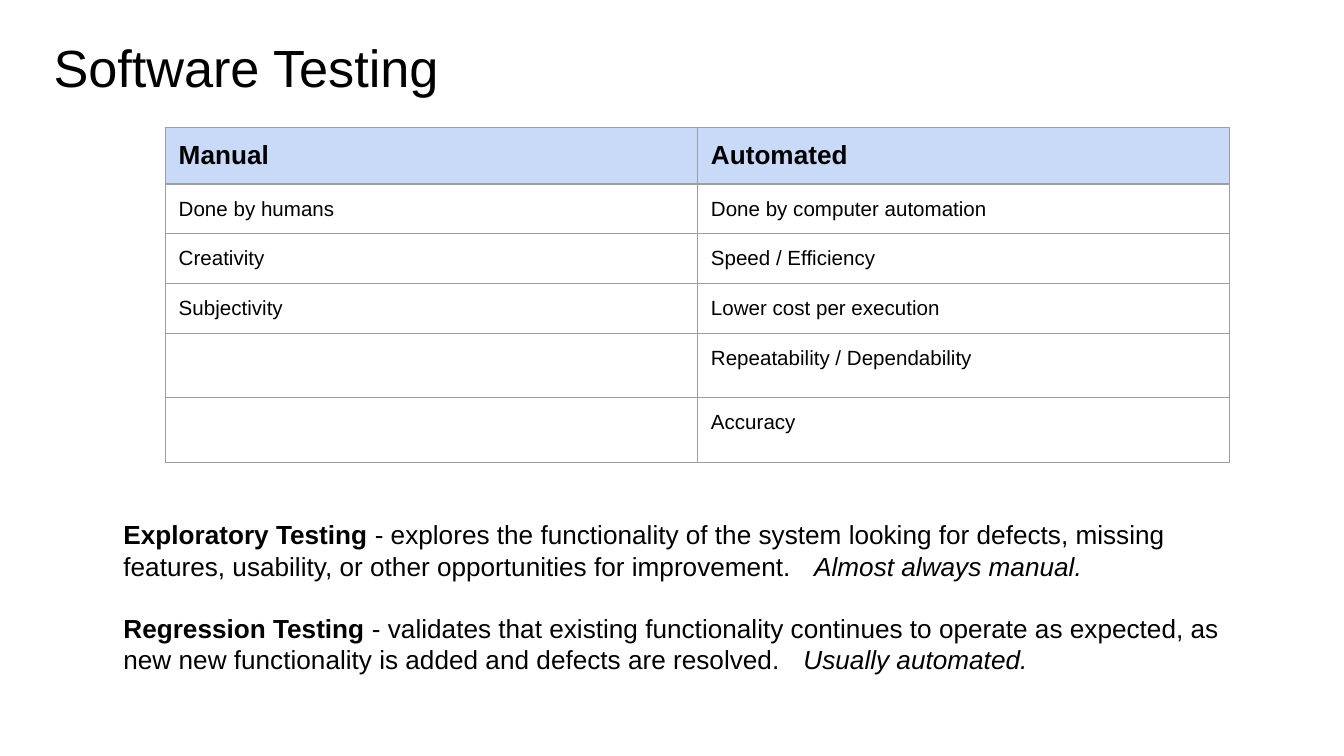
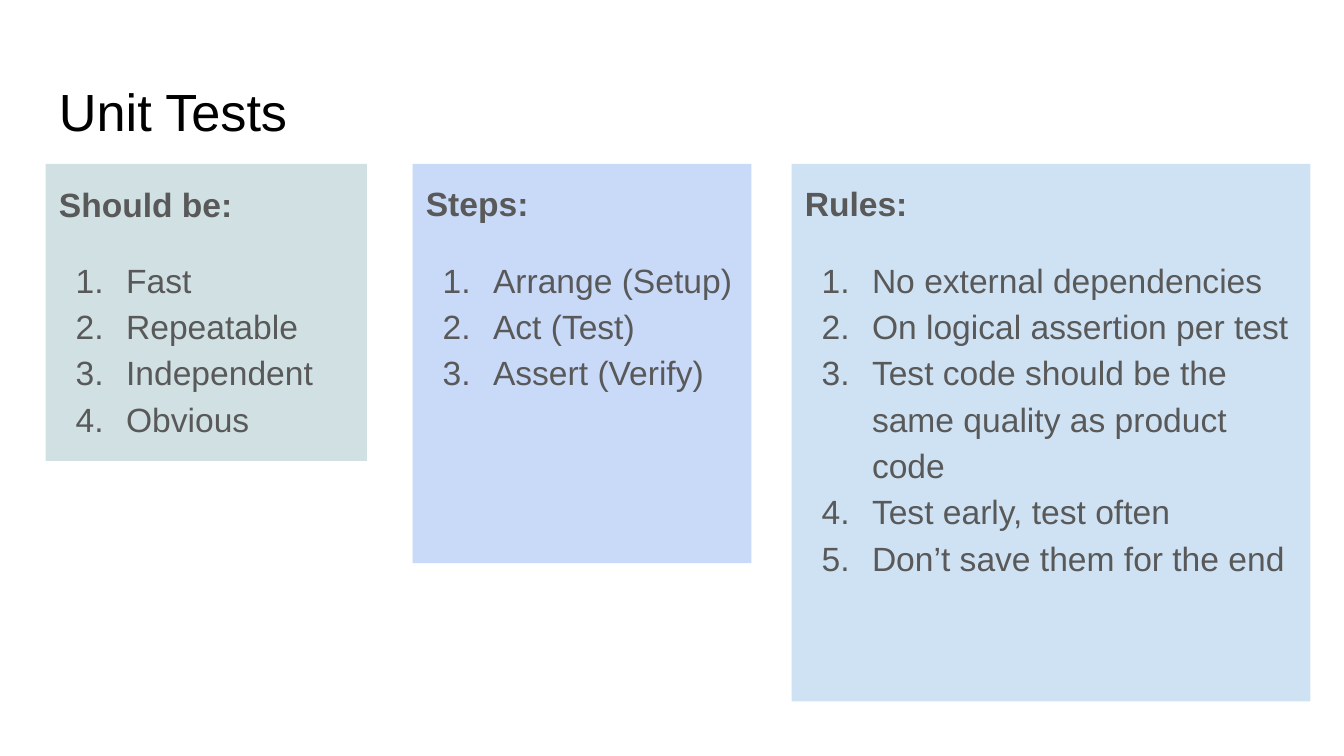
import pptx
import pptx.util
import pptx.dml.color
import pptx.enum.shapes
import pptx.enum.text
import pptx.oxml.ns
import lxml.etree

Inches = pptx.util.Inches

FONT = "Arial"
BLACK = "000000"
GREY = "595959"
HEADER_BLUE = "C9DAF8"
BORDER = "9E9E9E"
INSET = 0.1
CELL_BOTTOM = 0.08
SLIDE_WIDTH = 10


def color(value):
    return pptx.dml.color.RGBColor.from_string(value)


def add_element(parent, tag, **attributes):
    element = lxml.etree.SubElement(parent, pptx.oxml.ns.qn(tag))
    for name, value in attributes.items():
        element.set(name, str(value))
    return element


def write_paragraph(paragraph, *runs, size=14, fill=BLACK, spacing=1.0,
                    before=0, numbered=False, tab=None):
    """Each run is (text, style), where style may hold 'b' and 'i'."""
    properties = paragraph._p.get_or_add_pPr()
    if numbered:
        properties.set("marL", str(Inches(1 / 2)))
        properties.set("indent", str(-Inches(3 / 8)))
        bullet_color = add_element(properties, "a:buClr")
        add_element(bullet_color, "a:srgbClr", val=fill)
        add_element(properties, "a:buFont", typeface=FONT)
        add_element(properties, "a:buAutoNum", type="arabicPeriod")
    if tab:
        tabs = add_element(properties, "a:tabLst")
        add_element(tabs, "a:tab", pos=Inches(tab), algn="l")
    paragraph.alignment = pptx.enum.text.PP_ALIGN.LEFT
    paragraph.line_spacing = spacing
    if before:
        paragraph.space_before = pptx.util.Pt(before)
    for text, style in runs:
        run = paragraph.add_run()
        run.text = text
        run.font.name = FONT
        run.font.size = pptx.util.Pt(size)
        run.font.color.rgb = color(fill)
        run.font.bold = "b" in style
        run.font.italic = "i" in style


def prepare_frame(frame):
    frame.word_wrap = True
    frame.vertical_anchor = pptx.enum.text.MSO_ANCHOR.TOP
    frame.margin_left = frame.margin_right = Inches(INSET)
    frame.margin_top = frame.margin_bottom = Inches(INSET)
    return frame


def add_text_box(slide, box):
    shape = slide.shapes.add_textbox(*map(Inches, box))
    return prepare_frame(shape.text_frame)


def add_title(slide, text, left, top):
    frame = add_text_box(slide, (left, top, 9.32, 0.63))
    write_paragraph(frame.paragraphs[0], (text, ""), size=28)


def set_borders(cell):
    properties = cell._tc.get_or_add_tcPr()
    for index, tag in enumerate(("a:lnL", "a:lnR", "a:lnT", "a:lnB")):
        line = add_element(properties, tag, w=pptx.util.Pt(0.75))
        fill = add_element(line, "a:solidFill")
        add_element(fill, "a:srgbClr", val=BORDER)
        properties.insert(index, line)


def add_comparison_table(slide, left, top, width, rows, heights):
    columns = len(rows[0])
    table = slide.shapes.add_table(
        len(rows), columns, Inches(left), Inches(top),
        Inches(width), Inches(sum(heights))).table
    table.first_row = table.horz_banding = False
    for column in table.columns:
        column.width = Inches(width / columns)
    for row_index, (texts, height) in enumerate(zip(rows, heights)):
        table.rows[row_index].height = Inches(height)
        is_header = row_index == 0
        for column_index, text in enumerate(texts):
            cell = table.cell(row_index, column_index)
            cell.margin_left = cell.margin_right = Inches(INSET)
            cell.margin_top = Inches(INSET)
            cell.margin_bottom = Inches(CELL_BOTTOM)
            if is_header:
                cell.fill.solid()
                cell.fill.fore_color.rgb = color(HEADER_BLUE)
            else:
                cell.fill.background()
            set_borders(cell)
            if text:
                write_paragraph(cell.text_frame.paragraphs[0],
                                (text, "b" if is_header else ""),
                                size=14 if is_header else 11)


def add_definitions(slide, box, definitions):
    frame = add_text_box(slide, box)
    for index, (term, meaning, remark, tab) in enumerate(definitions):
        paragraph = frame.add_paragraph() if index else frame.paragraphs[0]
        write_paragraph(paragraph, (term, "b"), (f" - {meaning}\t", ""),
                        (remark, "i"), tab=tab, before=16.5 if index else 0)


def add_list_panel(slide, box, fill, heading, items):
    shape = slide.shapes.add_shape(
        pptx.enum.shapes.MSO_SHAPE.RECTANGLE, *map(Inches, box))
    shape.shadow.inherit = False
    shape.fill.solid()
    shape.fill.fore_color.rgb = color(fill)
    shape.line.fill.background()
    frame = prepare_frame(shape.text_frame)
    write_paragraph(frame.paragraphs[0], (heading, "b"),
                    size=18, fill=GREY, spacing=1.15)
    for index, item in enumerate(items):
        write_paragraph(frame.add_paragraph(), (item, ""), size=18, fill=GREY,
                        spacing=1.15, numbered=True,
                        before=0 if index else 16)


def build_software_testing(slide):
    add_title(slide, "Software Testing", 0.3, 0.16)

    # Manual and automated testing side by side
    rows = [
        ("Manual", "Automated"),
        ("Done by humans", "Done by computer automation"),
        ("Creativity", "Speed / Efficiency"),
        ("Subjectivity", "Lower cost per execution"),
        ("", "Repeatability / Dependability"),
        ("", "Accuracy"),
    ]
    add_comparison_table(slide, 1.23, 0.95, 7.92, rows,
                         [0.42, 0.37, 0.37, 0.37, 0.48, 0.48])

    # Definitions, each with a remark at a tab stop
    add_definitions(slide, (0.82, 3.76, 8.73, 1.78), [
        ("Exploratory Testing",
         "explores the functionality of the system looking for defects, "
         "missing features, usability, or other opportunities for "
         "improvement.", "Almost always manual.", 5.14),
        ("Regression Testing",
         "validates that existing functionality continues to operate as "
         "expected, as new new functionality is added and defects are "
         "resolved.", "Usually automated.", 5.06),
    ])


def build_unit_tests(slide):
    add_title(slide, "Unit Tests", 0.34, 0.49)

    # Numbered panels: left, width, height, fill, heading, items
    panels = [
        (0.34, 2.39, 2.21, "D0E0E3", "Should be:",
         ["Fast", "Repeatable", "Independent", "Obvious"]),
        (3.07, 2.52, 2.97, HEADER_BLUE, "Steps:",
         ["Arrange (Setup)", "Act (Test)", "Assert (Verify)"]),
        (5.89, 3.86, 4, "CFE2F3", "Rules:",
         ["No external dependencies", "On logical assertion per test",
          "Test code should be the same quality as product code",
          "Test early, test often", "Don’t save them for the end"]),
    ]
    for left, width, height, fill, heading, items in panels:
        add_list_panel(slide, (left, 1.22, width, height),
                       fill, heading, items)


def main():
    presentation = pptx.Presentation()
    presentation.slide_width = Inches(SLIDE_WIDTH)
    presentation.slide_height = Inches(SLIDE_WIDTH * 9 / 16)
    blank = presentation.slide_layouts[6]
    for build in (build_software_testing, build_unit_tests):
        build(presentation.slides.add_slide(blank))
    presentation.save("out.pptx")


if __name__ == "__main__":
    main()
